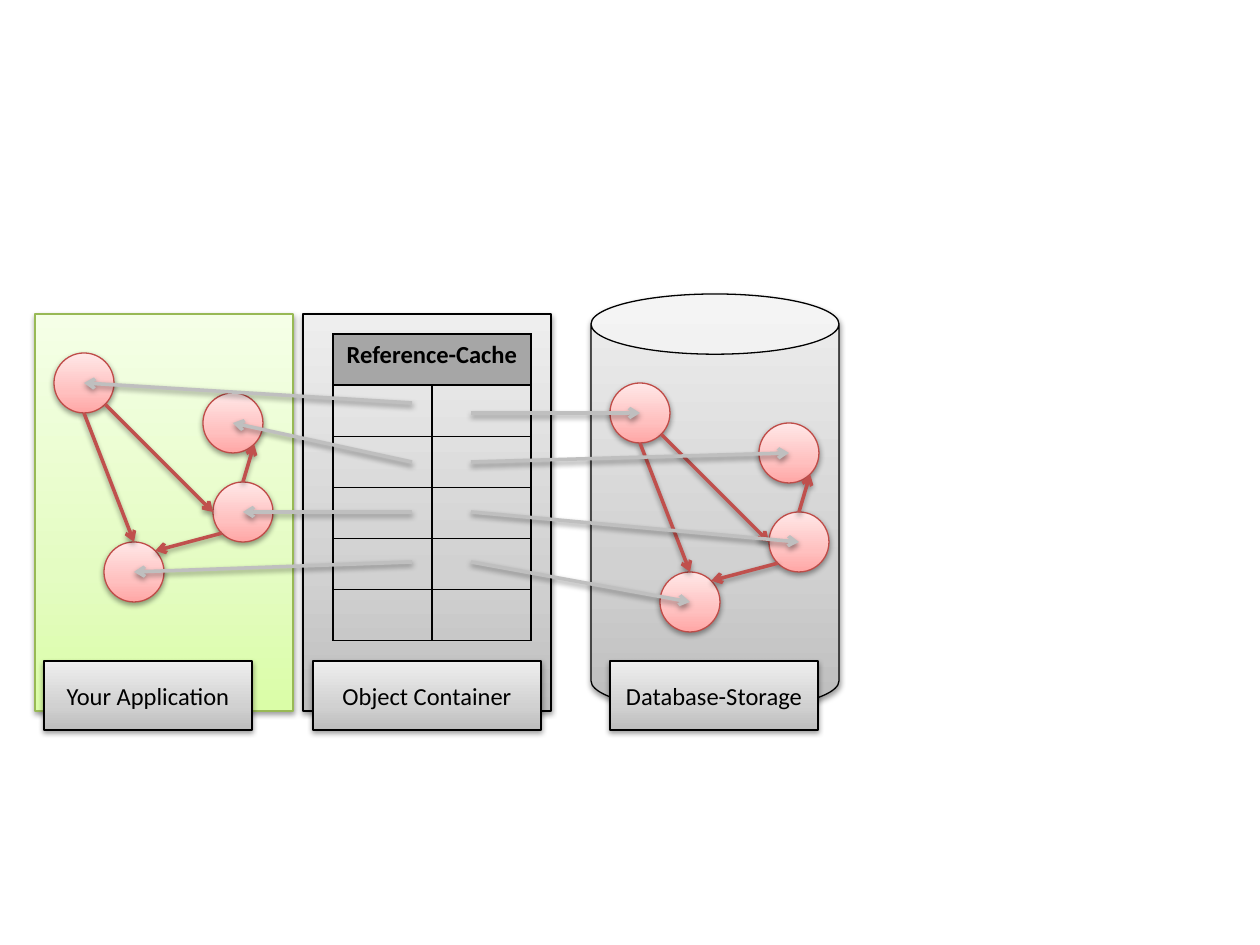
from dataclasses import dataclass
from math import sqrt

from lxml.etree import SubElement
from pptx import Presentation
from pptx.dml.color import RGBColor
from pptx.enum.shapes import MSO_CONNECTOR, MSO_SHAPE
from pptx.enum.text import MSO_ANCHOR, PP_ALIGN
from pptx.oxml import parse_xml
from pptx.oxml.ns import nsdecls, qn
from pptx.util import Inches, Pt

EMU_PER_PX = 914400 / 126


def px(length):
    return round(length * EMU_PER_PX)


@dataclass(frozen=True)
class Theme:
    font: str = "Calibri"
    text_size: int = 14
    outline_width: float = 0.75
    arrow_width: int = 2
    black: str = "000000"
    header: str = "A6A6A6"
    reference: str = "C0504D"
    mapping: str = "BFBFBF"
    node_outline: str = "BF4C48"
    app_outline: str = "98B955"
    # gradients run from the bottom edge to the top edge
    grey: tuple = ("BDBDBD", "D1D1D1", "EEEEEE")
    green: tuple = ("DAFDA7", "E4FCC2", "F5FFE7")
    red: tuple = ("FFA6A5", "FFC0BF", "FFE7E7")


class Diagram:
    def __init__(self, page, theme):
        self.page = page
        self.theme = theme

    def shadow(self, effects):
        """Fill an effect list with the soft shadow that every shape has."""
        effects.append(parse_xml(
            f'<a:outerShdw {nsdecls("a")} blurRad="40000" dist="20000" dir="5400000" '
            f'rotWithShape="0"><a:srgbClr val="{self.theme.black}">'
            '<a:alpha val="38000"/></a:srgbClr></a:outerShdw>'))

    def gradient(self, shape, colors):
        """Three stops, which the public gradient fill cannot hold."""
        shape.fill.gradient()
        stops = "".join(
            f'<a:gs pos="{pos}"><a:srgbClr val="{color}"/></a:gs>'
            for pos, color in zip((0, 35000, 100000), colors))
        fill = shape.element.spPr.find(qn("a:gradFill"))
        fill.getparent().replace(fill, parse_xml(
            f'<a:gradFill {nsdecls("a")} rotWithShape="1"><a:gsLst>{stops}</a:gsLst>'
            '<a:lin ang="16200000" scaled="0"/></a:gradFill>'))

    def shape(self, kind, left, top, width, height, colors, outline):
        shape = self.page.shapes.add_shape(kind, px(left), px(top), px(width), px(height))
        self.gradient(shape, colors)
        shape.line.color.rgb = RGBColor.from_string(outline)
        shape.line.width = Pt(self.theme.outline_width)
        shape.shadow.inherit = False
        self.shadow(shape.element.spPr.find(qn("a:effectLst")))
        return shape

    def centered_text(self, frame, text, bold=False):
        para = frame.paragraphs[0]
        para.text = text
        para.alignment = PP_ALIGN.CENTER
        para.font.name = self.theme.font
        para.font.size = Pt(self.theme.text_size)
        para.font.bold = bold
        para.font.color.rgb = RGBColor.from_string(self.theme.black)

    def label(self, left, width, text):
        box = self.shape(MSO_SHAPE.RECTANGLE, left, 661, width, 69,
                         self.theme.grey, self.theme.black)
        box.text_frame.vertical_anchor = MSO_ANCHOR.MIDDLE
        box.text_frame.margin_left = box.text_frame.margin_right = 0
        self.centered_text(box.text_frame, text)

    def arrow(self, start, end, color):
        line = self.page.shapes.add_connector(
            MSO_CONNECTOR.STRAIGHT, *map(px, start), *map(px, end))
        line.line.color.rgb = RGBColor.from_string(color)
        line.line.width = Pt(self.theme.arrow_width)
        properties = line.element.spPr
        SubElement(properties.find(qn("a:ln")), qn("a:tailEnd"), type="arrow")
        self.shadow(SubElement(properties, qn("a:effectLst")))

    def object_graph(self, centers):
        """Four linked objects; each link runs from rim to rim."""
        radius = 30
        diagonal = 1 / sqrt(2)
        for x, y in centers:
            self.shape(MSO_SHAPE.OVAL, x - radius, y - radius, 2 * radius, 2 * radius,
                       self.theme.red, self.theme.node_outline)
        links = [
            (0, (diagonal, diagonal), 2, (-1, 0)),
            (2, (-diagonal, diagonal), 3, (diagonal, -diagonal)),
            (2, (0, -1), 1, (diagonal, diagonal)),
            (0, (0, 1), 3, (0, -1)),
        ]
        for source, leaving, target, arriving in links:
            start, end = (
                tuple(c + radius * d for c, d in zip(centers[node], direction))
                for node, direction in ((source, leaving), (target, arriving)))
            self.arrow(start, end, self.theme.reference)

    def mappings(self, x, heights, centers):
        """Arrows from the cache rows to the objects they refer to."""
        for y, center in zip(heights, centers):
            self.arrow((x, y), center, self.theme.mapping)

    def border(self, cell):
        properties = cell._tc.get_or_add_tcPr()
        for index, side in enumerate(("lnL", "lnR", "lnT", "lnB")):
            properties.insert(index, parse_xml(
                f'<a:{side} {nsdecls("a")} w="{Pt(self.theme.outline_width)}"><a:solidFill>'
                f'<a:srgbClr val="{self.theme.black}"/></a:solidFill></a:{side}>'))

    def cache_table(self, left, top, column_width, row_height, title):
        rows, columns = 6, 2
        table = self.page.shapes.add_table(
            rows, columns, px(left), px(top),
            px(column_width * columns), px(row_height * rows)).table
        table.first_row = table.horz_banding = False
        for row in table.rows:
            row.height = px(row_height)
        for cell in table.iter_cells():
            cell.fill.background()
            self.border(cell)
        header = table.cell(0, 0)
        header.merge(table.cell(0, columns - 1))
        header.fill.solid()
        header.fill.fore_color.rgb = RGBColor.from_string(self.theme.header)
        self.centered_text(header.text_frame, title, bold=True)


def main():
    deck = Presentation()
    deck.slide_width, deck.slide_height = Inches(10), Inches(7.5)
    theme = Theme()
    diagram = Diagram(deck.slides.add_slide(deck.slide_layouts[6]), theme)

    app_objects = [(84, 383), (233, 423), (243, 512), (134, 572)]
    stored_objects = [(x + 556, y + 30) for x, y in app_objects]

    diagram.shape(MSO_SHAPE.RECTANGLE, 35, 314, 258, 397, theme.green, theme.app_outline)
    storage = diagram.shape(MSO_SHAPE.CAN, 591, 294, 248, 417, theme.grey, theme.black)
    storage.adjustments[0] = 0.243
    diagram.label(610, 208, "Database-Storage")
    diagram.object_graph(app_objects)
    diagram.label(44, 208, "Your Application")

    diagram.shape(MSO_SHAPE.RECTANGLE, 303, 314, 248, 397, theme.grey, theme.black)
    diagram.label(313, 228, "Object Container")
    diagram.cache_table(333, 334, 99, 51, "Reference-Cache")
    diagram.mappings(412, (403, 462, 512, 562), app_objects)

    diagram.object_graph(stored_objects)
    diagram.mappings(471, (413, 462, 512, 562), stored_objects)

    deck.save("out.pptx")


if __name__ == "__main__":
    main()
